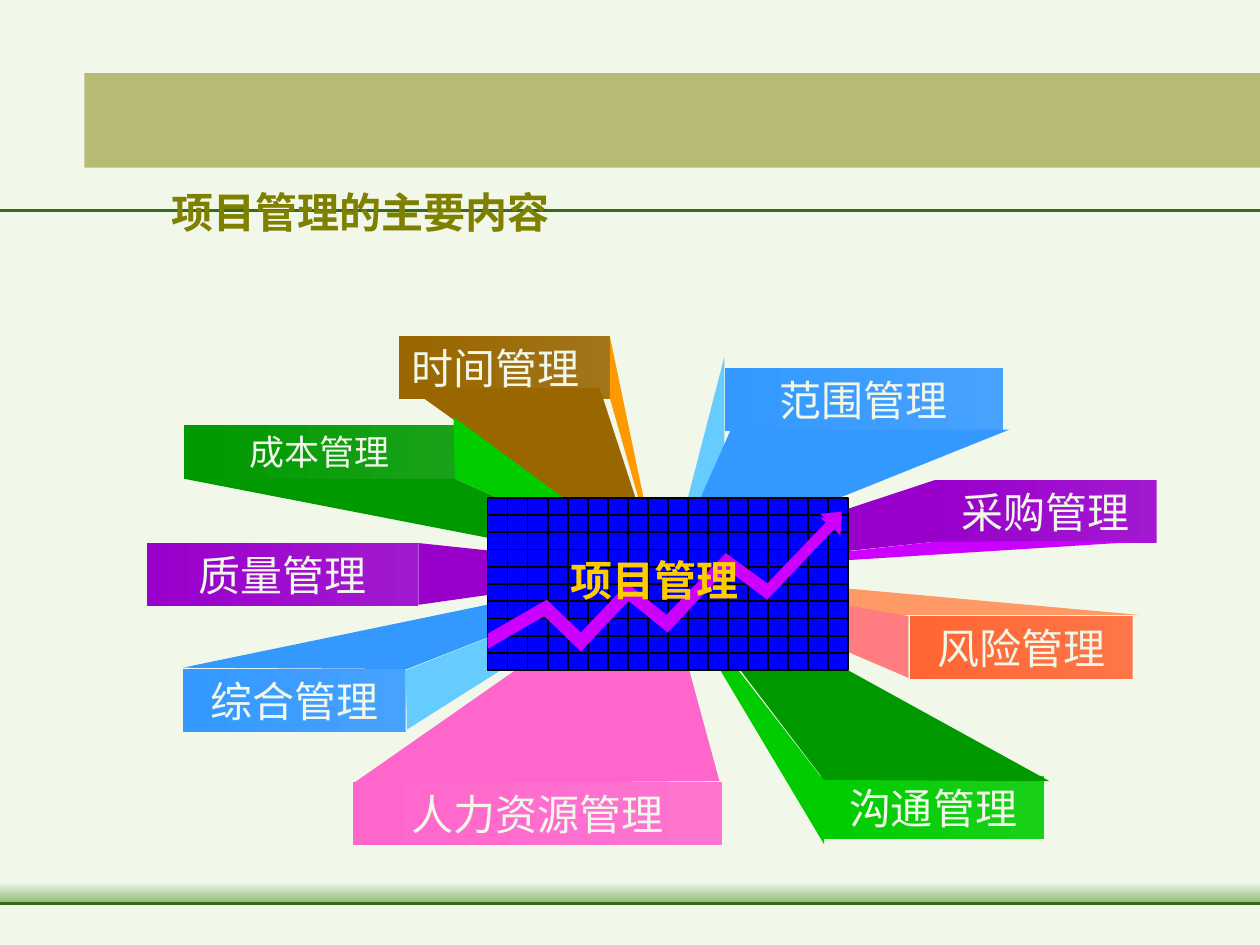
from dataclasses import dataclass

from lxml.etree import SubElement
from pptx import Presentation
from pptx.dml.color import RGBColor
from pptx.enum.shapes import MSO_CONNECTOR as Link, MSO_SHAPE as Preset
from pptx.enum.text import MSO_ANCHOR as Anchor, MSO_AUTO_SIZE as Fit, PP_ALIGN as Align
from pptx.oxml.ns import qn
from pptx.util import Cm, Pt


@dataclass(frozen=True)
class Theme:
    paper: str = "F1F7E9"
    rule: str = "366B1B"
    glow: str = "8DBA76"
    olive: str = "808000"
    board: str = "0000FF"
    grid: str = "000000"
    trend: str = "CC00FF"
    gold: str = "FFCC00"
    latin: str = "Times New Roman"
    cjk: str = "Noto Sans CJK SC"
    large: int = 24
    small: int = 20
    thin: float = 1
    rule_width: float = 1.5


THEME = Theme()
UNIT = 2.54  # centimetres in one layout unit; the page is 10 by 7.5 units


@dataclass(frozen=True)
class Box:
    left: float
    top: float
    width: float
    height: float

    def lengths(self):
        return [units(v) for v in (self.left, self.top, self.width, self.height)]


# Topic: name, box, font, size, label gradient, rays as (colour, corners from the label's top left)
BLUE, PURPLE = ("47A2FE", "3399FF"), ("A219D0", "9900CC")
TOPICS = [
    ("时间管理", Box(3.17, 2.67, 1.67, 0.5), THEME.latin, THEME.large, ("A27519", "996600"), [
        ("996600", [(0.08, 0.41), (1.59, 0.41), (2.05, 1.82)]),
        ("FF9900", [(1.67, 0), (1.67, 0.49), (2.05, 1.82)])]),
    ("范围管理", Box(5.75, 2.92, 2.21, 0.5), THEME.latin, THEME.large, BLUE, [
        ("66CCFF", [(0, -0.09), (0, 0.67), (-0.43, 1.57)]),
        ("3399FF", [(0.05, 0.49), (-0.43, 1.57), (2.26, 0.49)])]),
    ("采购管理", Box(7.41, 3.81, 1.77, 0.5), THEME.cjk, THEME.large, PURPLE, [
        ("9900CC", [(0.01, 0), (0.01, 0.49), (-2.17, 0.72)]),
        ("CC00FF", [(1.77, 0.48), (-2.17, 0.73), (0.01, 0.49)])]),
    ("风险管理", Box(7.22, 4.89, 1.77, 0.5), THEME.cjk, THEME.large, ("FE7547", "FF6633"), [
        ("FF9966", [(-1.95, -0.35), (1.82, -0.01), (-0.45, -0.01)]),
        ("FF7C80", [(-1.95, -0.34), (-0.01, 0), (-0.01, 0.49)])]),
    ("成本管理", Box(1.46, 3.37, 2.15, 0.43), THEME.latin, THEME.small, ("19A219", "009900"), [
        ("009900", [(0, 0.43), (2.15, 0.43), (3.81, 1.17)]),
        ("00CC00", [(2.14, -0.06), (3.81, 1.17), (2.15, 0.43)])]),
    ("质量管理", Box(1.17, 4.31, 2.15, 0.5), THEME.latin, THEME.large, PURPLE, [
        ("9900CC", [(2.15, 0), (4.13, 0.21), (2.15, 0.49)])]),
    ("综合管理", Box(1.45, 5.31, 1.77, 0.5), THEME.latin, THEME.large, BLUE, [
        ("3399FF", [(0, -0.01), (3.82, -0.8), (1.78, 0)]),
        ("66CCFF", [(3.79, -0.79), (1.77, 0.01), (1.78, 0.48)])]),
    ("人力资源管理", Box(2.8, 6.21, 2.93, 0.5), THEME.latin, THEME.large, ("FE75D0", "FF66CC"), [
        ("FF66CC", [(0, 0.01), (2.45, -1.7), (2.91, -0.01)])]),
    ("沟通管理", Box(6.52, 6.16, 1.77, 0.5), THEME.latin, THEME.large, ("19D019", "00CC00"), [
        ("00CC00", [(-1.28, -1.64), (0.02, 0.54), (0.03, 0.05)]),
        ("009900", [(-1.26, -1.65), (1.81, 0.04), (0.02, 0.03)])]),
]

# Rising arrow, measured from the board's top left
TREND = [(0, 1.11), (0.47, 0.84), (0.74, 1.1), (1.11, 0.71), (1.42, 0.96), (1.89, 0.47),
         (2.22, 0.71), (2.7, 0.21), (2.64, 0.16), (2.81, 0.14), (2.8, 0.3), (2.75, 0.25),
         (2.22, 0.81), (1.9, 0.57), (1.43, 1.07), (1.12, 0.82), (0.74, 1.22), (0.45, 0.94),
         (0, 1.2)]


def units(value):
    return Cm(value * UNIT)


def rgb(code):
    return RGBColor.from_string(code)


def set_all(target, values):
    for name, value in values.items():
        setattr(target, name, value)


def write(frame, text, color, font, size, bold=False, align=Align.LEFT, **layout):
    set_all(frame, {"word_wrap": True, "auto_size": Fit.SHAPE_TO_FIT_TEXT,
                    "vertical_anchor": Anchor.TOP, **layout})
    para = frame.paragraphs[0]
    para.alignment = align
    span = para.add_run()
    span.text = text
    span.font.color.rgb = rgb(color)
    set_all(span.font, {"name": font, "size": Pt(size), "bold": bold})
    SubElement(span.font._element, qn("a:ea"), typeface=THEME.cjk)


def add_rect(page, box, color=None, gradient=None, angle=180):
    rect = page.shapes.add_shape(Preset.RECTANGLE, *box.lengths())
    rect.shadow.inherit = False
    rect.line.fill.background()
    if gradient:
        rect.fill.gradient()
        rect.fill.gradient_angle = angle
        for stop, code, position in zip(rect.fill.gradient_stops, gradient, (0, 1)):
            stop.color.rgb = rgb(code)
            stop.position = position
    else:
        rect.fill.solid()
        rect.fill.fore_color.rgb = rgb(color)
    return rect


def add_line(page, x1, y1, x2, y2, color, width):
    line = page.shapes.add_connector(Link.STRAIGHT, *map(units, (x1, y1, x2, y2)))
    line.line.color.rgb = rgb(color)
    line.line.width = Pt(width)
    SubElement(line._element.spPr, qn("a:effectLst"))


def add_polygon(page, left, top, corners, color):
    points = [(units(left + x), units(top + y)) for x, y in corners]
    builder = page.shapes.build_freeform(*points[0], scale=1.0)
    builder.add_line_segments(points[1:], close=True)
    polygon = builder.convert_to_shape()
    polygon.shadow.inherit = False
    polygon.fill.solid()
    polygon.fill.fore_color.rgb = rgb(color)
    polygon.line.fill.background()


def add_backdrop(page, box):
    # Two rules, the glow above the lower one, and the translucent band
    right = box.left + box.width
    add_line(page, box.left, box.top + 1.67, right, box.top + 1.67, THEME.rule, THEME.rule_width)
    add_rect(page, Box(box.left, box.top + 7, box.width, 0.17),
             gradient=(THEME.paper, THEME.glow), angle=270)
    add_line(page, box.left, box.top + 7.17, right, box.top + 7.17, THEME.rule, THEME.rule_width)
    band = add_rect(page, Box(box.left + 0.67, box.top + 0.58, box.width - 0.67, 0.75), THEME.olive)
    tint = band.fill._xPr.find(qn("a:solidFill"))[0]
    SubElement(tint, qn("a:alpha"), val="50000")


def add_title(page, box, text):
    title = page.shapes.title
    set_all(title, dict(zip(("left", "top", "width", "height"), box.lengths())))
    write(title.text_frame, text, THEME.olive, THEME.latin, THEME.large, bold=True,
          auto_size=Fit.NONE, vertical_anchor=Anchor.BOTTOM)
    page.shapes._spTree.append(title._element)  # bring in front of the rule


def add_topics(page):
    for index, (name, box, font, size, gradient, _) in enumerate(TOPICS):
        label = add_rect(page, box, gradient=gradient)
        write(label.text_frame, name, THEME.paper, font, size,
              align=Align.CENTER if index else Align.LEFT)
    # The rays lie over the labels
    for _, box, _, _, _, rays in TOPICS:
        for color, corners in rays:
            add_polygon(page, box.left, box.top, corners, color)


def add_board(page, box, text, columns=18, rows=10):
    panel = add_rect(page, box, THEME.board)
    panel.line.color.rgb = rgb(THEME.grid)
    panel.line.width = Pt(THEME.thin)
    right, bottom = box.left + box.width, box.top + box.height
    for column in range(1, columns):
        x = box.left + column * box.width / columns
        add_line(page, x, box.top, x, bottom, THEME.grid, THEME.thin)
    for row in range(1, rows):
        y = box.top + row * box.height / rows
        add_line(page, box.left, y, right, y, THEME.grid, THEME.thin)
    # The arrow is doubled, slightly raised, for thickness
    for lift in (0, 0.03):
        add_polygon(page, box.left, box.top - lift, TREND, THEME.trend)
    caption = page.shapes.add_textbox(*Box(box.left + 0.56, box.top + 0.4, 1.54, 0.5).lengths())
    write(caption.text_frame, text, THEME.gold, THEME.cjk, THEME.large, bold=True, word_wrap=False)


def main():
    deck = Presentation()
    deck.slide_width, deck.slide_height = units(10), units(7.5)
    page = deck.slides.add_slide(deck.slide_layouts[5])
    page.background.fill.solid()
    page.background.fill.fore_color.rgb = rgb(THEME.paper)
    add_backdrop(page, Box(0, 0, 10, 7.5))
    add_title(page, Box(1.26, 0.68, 8.52, 1.25), "项目管理的主要内容")
    add_topics(page)
    add_board(page, Box(3.87, 3.95, 2.86, 1.37), "项目管理")
    deck.save("out.pptx")


if __name__ == "__main__":
    main()
